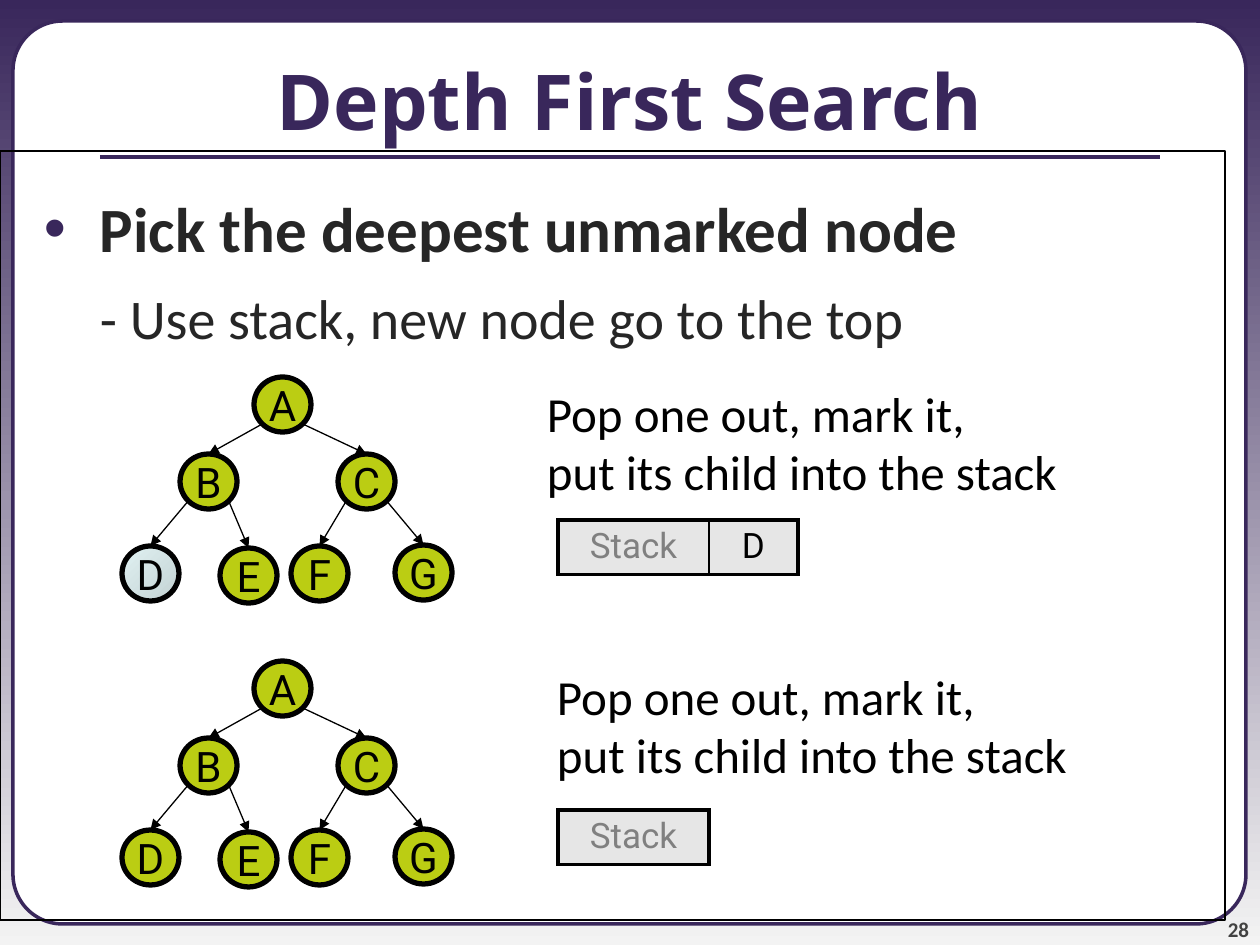
from lxml.etree import SubElement
from pptx import Presentation
from pptx.dml.color import RGBColor
from pptx.enum.shapes import MSO_CONNECTOR as Connector, MSO_SHAPE as Shape
from pptx.enum.text import MSO_ANCHOR as Anchor, PP_ALIGN as Align
from pptx.oxml.ns import qn
from pptx.util import Pt

PX = 914400 / 126
PURPLE, BLACK, GREEN, DARK = "39275B", "000000", "BBCD13", "262626"
NODE_W, NODE_H = 57, 55
NODES = {"A": (132, 0), "B": (58, 77), "C": (216, 77), "D": (0, 169),
         "E": (98, 171), "F": (169, 169), "G": (273, 168)}
CHILDREN = {"A": "BC", "B": "DE", "C": "FG"}


def px(*lengths):
    return [round(length * PX) for length in lengths]


def color(code):
    return RGBColor.from_string(code)


def paint_gradient(fill, codes, angle):
    """Angle is counted clockwise, in degrees."""
    fill.gradient()
    fill.gradient_angle = 360 - angle
    for stop, code in zip(fill.gradient_stops, codes):
        stop.color.rgb = color(code)


def set_line(line, code, width):
    line.color.rgb = color(code)
    line.width = Pt(width)


def write(para, text, font, size, code=BLACK, bold=False, align=Align.LEFT):
    para.text = text
    para.alignment = align
    for span in para.runs:
        span.font.name = font
        span.font.size = Pt(size)
        span.font.bold = bold
        span.font.color.rgb = color(code)


def set_frame(shape, insets=(13, 6, 13, 6), anchor=Anchor.TOP, wrap=True):
    frame = shape.text_frame
    frame.word_wrap = wrap
    frame.vertical_anchor = anchor
    (frame.margin_left, frame.margin_top,
     frame.margin_right, frame.margin_bottom) = px(*insets)
    return frame


def add_frame(page, left, top, width, height):
    panel = page.shapes.add_shape(Shape.ROUNDED_RECTANGLE, *px(left, top, width, height))
    panel.adjustments[0] = 0.055
    panel.shadow.inherit = False
    panel.fill.solid()
    panel.fill.fore_color.rgb = color("FFFFFF")
    set_line(panel.line, PURPLE, 2)


def add_rule(shapes, start, end, code, width):
    rule = shapes.add_connector(Connector.STRAIGHT, *px(*start, *end))
    set_line(rule.line, code, width)
    SubElement(rule._element.spPr, qn("a:effectLst"))
    return rule


def add_title(page, left, top, width, height):
    box = page.shapes.add_textbox(*px(left, top, width, height))
    frame = set_frame(box, anchor=Anchor.MIDDLE)
    write(frame.paragraphs[0], "Depth First Search", "Open Sans", 44, PURPLE, True, Align.CENTER)


def add_page_number(page, left, top, width, height):
    box = page.shapes.add_textbox(*px(left, top, width, height))
    frame = set_frame(box, (0, 0, 0, 0), Anchor.BOTTOM)
    write(frame.paragraphs[0], "28", "Calibri", 12, "424242", True, Align.RIGHT)


def add_body(page, left, top, width, height):
    box = page.shapes.add_shape(Shape.RECTANGLE, *px(left, top, width, height))
    box.shadow.inherit = False
    box.fill.background()
    set_line(box.line, BLACK, 0.75)
    frame = set_frame(box, (13, 39, 13, 6))
    point, detail = frame.paragraphs[0], frame.add_paragraph()
    for para, indent in ((point, -56), (detail, 0)):
        props = para._p.get_or_add_pPr()
        props.set("marL", str(px(87)[0]))
        props.set("indent", str(px(indent)[0]))
    bullet_color = SubElement(point._p.pPr, qn("a:buClr"))
    SubElement(bullet_color, qn("a:srgbClr"), val=PURPLE)
    SubElement(point._p.pPr, qn("a:buFont"), typeface="Arial")
    SubElement(point._p.pPr, qn("a:buChar"), char="•")
    write(point, "Pick the deepest unmarked node", "Calibri", 36, DARK, True)
    write(detail, "- Use stack, new node go to the top", "Calibri", 32, DARK)
    detail.space_before = Pt(10)


def add_node(group, letter, left, top, marked):
    node = group.shapes.add_shape(Shape.OVAL, *px(left, top, NODE_W, NODE_H))
    node.shadow.inherit = False
    if marked:
        paint_gradient(node.fill, ("E1F2F3", "C3D2D3"), 45)
    else:
        node.fill.solid()
        node.fill.fore_color.rgb = color(GREEN)
    set_line(node.line, BLACK, 3)
    frame = set_frame(node, anchor=Anchor.MIDDLE, wrap=False)
    write(frame.paragraphs[0], letter, "Roboto", 24, align=Align.CENTER)


def add_tree(page, left, top, marked=""):
    """Edges run from a parent's lower diagonal points to the top of each child."""
    group = page.shapes.add_group_shape()
    places = {letter: (left + x, top + y) for letter, (x, y) in NODES.items()}
    for letter, (x, y) in places.items():
        add_node(group, letter, x, y, letter in marked)
    for parent, children in CHILDREN.items():
        x, y = places[parent]
        for child, share in zip(children, (0.146, 0.854)):
            child_x, child_y = places[child]
            edge = add_rule(group.shapes, (x + NODE_W * share, y + NODE_H * 0.854),
                            (child_x + NODE_W / 2, child_y), BLACK, 0.75)
            SubElement(edge.line._get_or_add_ln(), qn("a:tailEnd"), type="triangle")


def add_step(page, left, top, width, height):
    box = page.shapes.add_textbox(*px(left, top, width, height))
    frame = set_frame(box, (23, 6, 13, 6))
    write(frame.paragraphs[0], "Pop one out, mark it,", "Calibri", 28)
    write(frame.add_paragraph(), "put its child into the stack", "Calibri", 28)


def set_border(cell, side, width):
    border = SubElement(cell._tc.get_or_add_tcPr(), qn("a:ln" + side), w=str(Pt(width)))
    fill = SubElement(border, qn("a:solidFill"))
    SubElement(fill, qn("a:srgbClr"), val=BLACK)


def add_stack(page, left, top, items=""):
    """A label cell followed by one cell for each item."""
    texts = ["Stack", *items]
    widths = [151] + [89] * len(items)
    frame = page.shapes.add_table(1, len(texts), *px(left, top, sum(widths), 54))
    table = frame.table
    table.first_row = table.horz_banding = False
    last = len(texts) - 1
    for index, (text, width) in enumerate(zip(texts, widths)):
        table.columns[index].width = px(width)[0]
        cell = table.cell(0, index)
        set_border(cell, "L", 2.25 if index == 0 else 1)
        set_border(cell, "R", 2.25 if index == last else 1)
        set_border(cell, "T", 2.25)
        set_border(cell, "B", 2.25)
        cell.fill.solid()
        cell.fill.fore_color.rgb = color("E6E6E6")
        code = BLACK if index else "808080"
        write(cell.text_frame.paragraphs[0], text, "Roboto", 20, code, align=Align.CENTER)


def main():
    deck = Presentation()
    deck.slide_width, deck.slide_height = px(1260, 945)
    page = deck.slides.add_slide(deck.slide_layouts[6])
    paint_gradient(page.background.fill, (PURPLE, "F3F3F3"), 90)
    add_frame(page, 13, 21, 1246 - 13, 903)
    add_page_number(page, 1144, 892, 105, 50)
    add_rule(page.shapes, (100, 157), (1160, 157), PURPLE, 2.25)
    add_title(page, 0, 21, 1260, 158)
    add_body(page, 0, 151, 1225, 769)
    add_tree(page, 122, 377, marked="D")
    add_step(page, 524, 377, 690, 131)
    add_stack(page, 558, 520, "D")
    add_tree(page, 122, 661)
    add_step(page, 534, 660, 690, 131)
    add_stack(page, 558, 810)
    deck.save("out.pptx")


if __name__ == "__main__":
    main()
